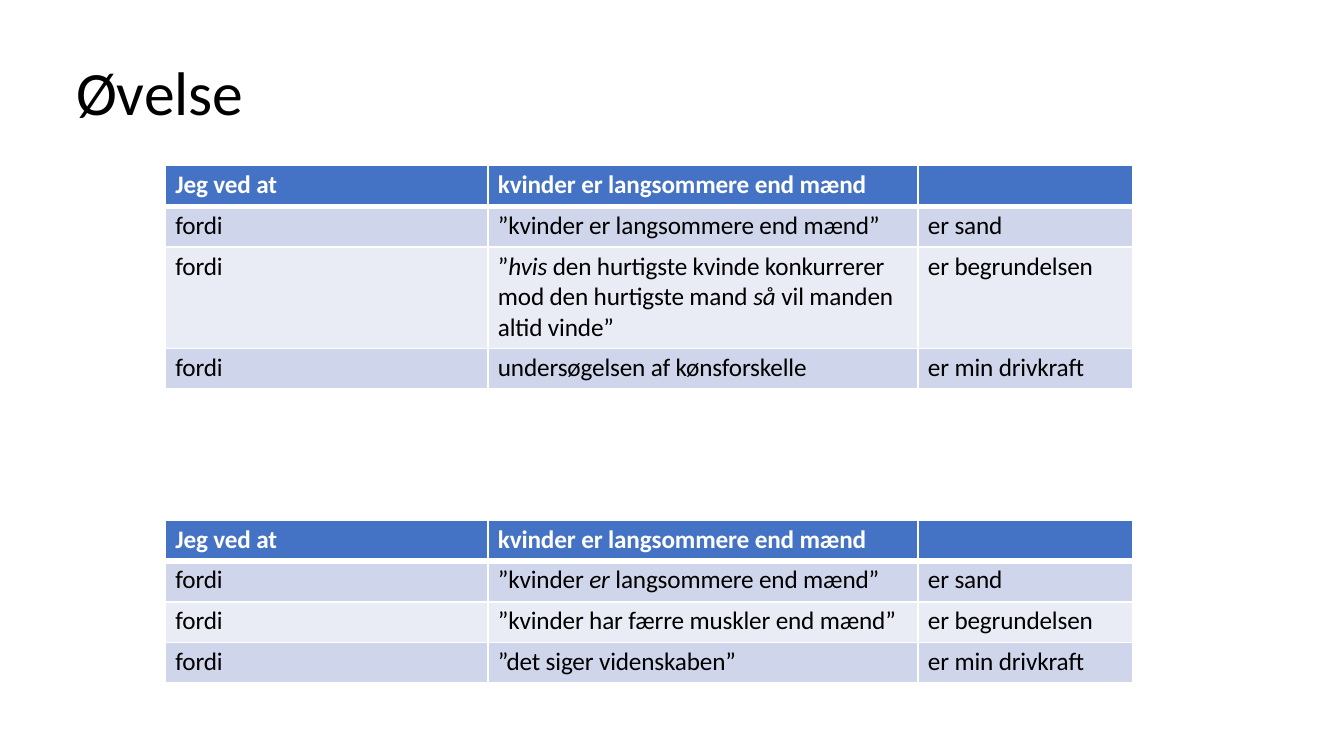
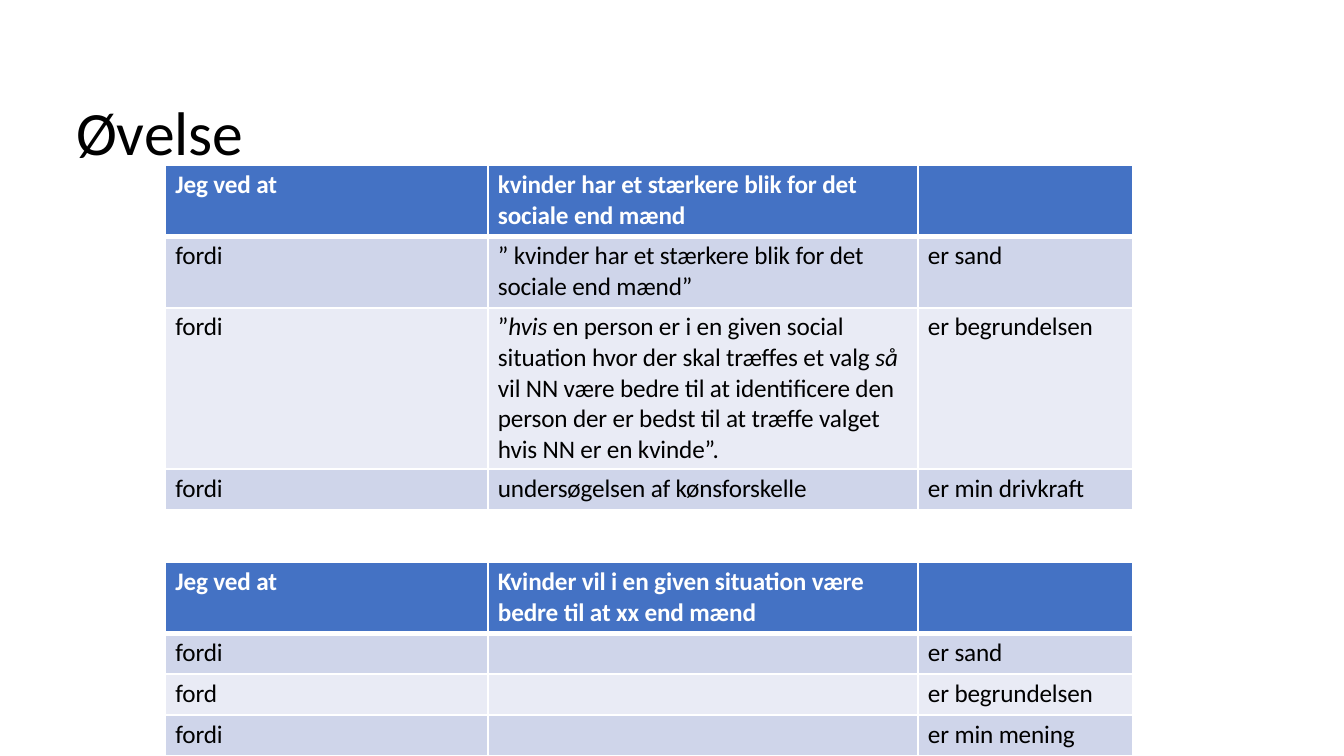
from lxml import etree
from pptx import Presentation, util as u
from pptx.dml.color import RGBColor
from pptx.enum import text
from pptx.oxml import ns

# Colours
BLACK = RGBColor(0x00, 0x00, 0x00)
WHITE = RGBColor(0xFF, 0xFF, 0xFF)
HEADER_BLUE = RGBColor(0x44, 0x72, 0xC4)
BAND_DARK = RGBColor(0xCF, 0xD5, 0xEA)
BAND_LIGHT = RGBColor(0xE9, 0xEB, 0xF5)

# Lengths in percent of the slide's width or height
TABLE_LEFT = 12.3
COLUMN_WIDTHS = (24, 32, 16)
ROW_PADDING, LINE_HEIGHT = 1.4, 4

# Border widths in points
THIN, THICK = 1.5, 4.25


class Deck:
    """Holds the style and the current slide."""

    font_name = "Calibri"
    title_size, body_size = 44, 18
    letter_spacing = -0.1

    def __init__(self):
        self.deck = Presentation()
        self.deck.slide_width = u.Inches(13.33)
        self.deck.slide_height = u.Inches(7.5)
        self.page = None

    def x(self, percent):
        return u.Emu(int(self.deck.slide_width * percent / 100))

    def y(self, percent):
        return u.Emu(int(self.deck.slide_height * percent / 100))

    def new_page(self):
        self.page = self.deck.slides.add_slide(self.deck.slide_layouts[6])

    def add_words(self, para, words, size, colour, bold=False):
        """Fill a paragraph; words between asterisks become italic."""
        for index, part in enumerate(words.split("*")):
            if not part:
                continue
            span = para.add_run()
            span.text = part
            span.font.name = self.font_name
            span.font.size = u.Pt(size)
            span.font.color.rgb = colour
            span.font.bold = bold
            span.font.italic = index % 2 == 1
            span._r.get_or_add_rPr().set("spc", str(int(self.letter_spacing * 100)))

    def title(self, words, top, width):
        box = self.page.shapes.add_textbox(
            self.x(5.6), self.y(top), self.x(width), self.y(10))
        frame = box.text_frame
        frame.word_wrap = True
        frame.vertical_anchor = text.MSO_ANCHOR.MIDDLE
        frame.margin_left = u.Inches(0.01)
        frame.margin_top = u.Inches(0.01)
        frame.margin_right = frame.margin_bottom = 0
        self.add_words(frame.paragraphs[0], words, self.title_size, BLACK)

    def borders(self, cell, top, bottom):
        properties = cell._tc.get_or_add_tcPr()
        for side, width in (("L", THIN), ("R", THIN), ("T", top), ("B", bottom)):
            line = etree.SubElement(
                properties, ns.qn(f"a:ln{side}"), w=str(int(u.Pt(width))))
            fill = etree.SubElement(line, ns.qn("a:solidFill"))
            etree.SubElement(fill, ns.qn("a:srgbClr"), val=str(WHITE))

    def table(self, top, rows, line_counts):
        """Draw a table whose row heights follow from their lines of text."""
        heights = [ROW_PADDING + LINE_HEIGHT * lines for lines in line_counts]
        grid = self.page.shapes.add_table(
            len(rows), len(COLUMN_WIDTHS), self.x(TABLE_LEFT), self.y(top),
            self.x(sum(COLUMN_WIDTHS)), self.y(sum(heights))).table
        grid.horz_banding = False
        for column, width in zip(grid.columns, COLUMN_WIDTHS):
            column.width = self.x(width)
        for index, (row, height) in enumerate(zip(rows, heights)):
            grid.rows[index].height = self.y(height)
            header = index == 0
            band = BAND_DARK if index % 2 else BAND_LIGHT
            for cell, words in zip(grid.rows[index].cells, row):
                cell.margin_left = u.Inches(0.1)
                cell.margin_top = u.Inches(0.04)
                cell.margin_right = cell.margin_bottom = 0
                self.borders(cell, THICK if index == 1 else THIN,
                             THICK if header else THIN)
                cell.fill.solid()
                cell.fill.fore_color.rgb = HEADER_BLUE if header else band
                self.add_words(cell.text_frame.paragraphs[0], words, self.body_size,
                               WHITE if header else BLACK, header)


def main():
    deck = Deck()

    # Slide 1: running speed
    deck.new_page()
    deck.title("Øvelse", top=6.9, width=29)
    deck.table(21.9, [
        ("Jeg ved at", "kvinder er langsommere end mænd", ""),
        ("fordi", "”kvinder er langsommere end mænd”", "er sand"),
        ("fordi", "”*hvis* den hurtigste kvinde konkurrerer mod den hurtigste "
                  "mand *så* vil manden altid vinde”", "er begrundelsen"),
        ("fordi", "undersøgelsen af kønsforskelle", "er min drivkraft"),
    ], (1, 1, 3, 1))
    deck.table(68.8, [
        ("Jeg ved at", "kvinder er langsommere end mænd", ""),
        ("fordi", "”kvinder *er* langsommere end mænd”", "er sand"),
        ("fordi", "”kvinder har færre muskler end mænd”", "er begrundelsen"),
        ("fordi", "”det siger videnskaben”", "er min drivkraft"),
    ], (1, 1, 1, 1))

    # Slide 2: social awareness
    deck.new_page()
    deck.title("Øvelse", top=12.3, width=36.7)
    deck.table(21.9, [
        ("Jeg ved at", "kvinder har et stærkere blik for det sociale end mænd", ""),
        ("fordi", "” kvinder har et stærkere blik for det sociale end mænd”",
         "er sand"),
        ("fordi", "”*hvis* en person er i en given social situation hvor der skal "
                  "træffes et valg *så* vil NN være bedre til at identificere den "
                  "person der er bedst til at træffe valget hvis NN er en kvinde”.",
         "er begrundelsen"),
        ("fordi", "undersøgelsen af kønsforskelle", "er min drivkraft"),
    ], (2, 2, 5, 1))
    deck.table(74.4, [
        ("Jeg ved at", "Kvinder vil i en given situation være bedre til at xx "
                       "end mænd", ""),
        ("fordi", "", "er sand"),
        ("ford", "", "er begrundelsen"),
        ("fordi", "", "er min mening"),
    ], (2, 1, 1, 1))

    deck.deck.save("out.pptx")


if __name__ == "__main__":
    main()
